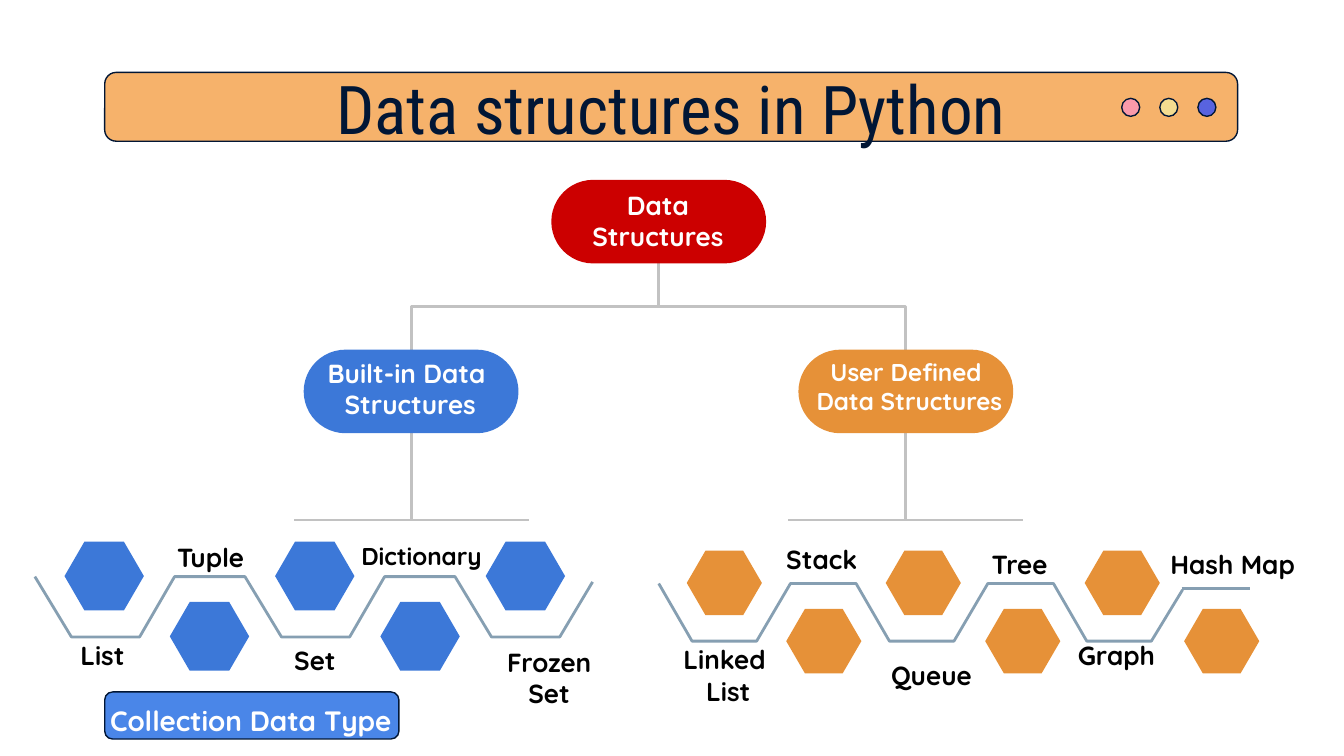
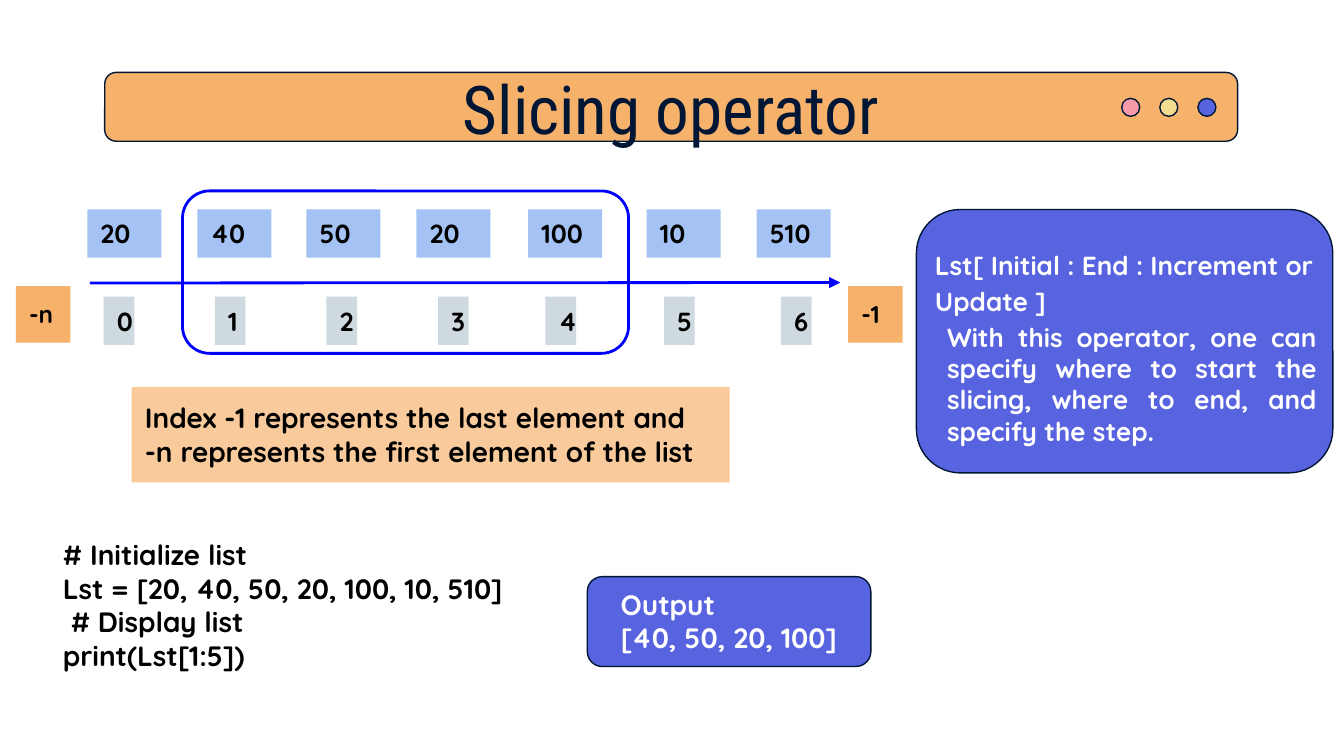
import lxml.etree
import pptx
import pptx.util
import pptx.dml.color
import pptx.enum.shapes
import pptx.enum.text
import pptx.oxml.ns

Cm = pptx.util.Cm
Pt = pptx.util.Pt
RGBColor = pptx.dml.color.RGBColor
SHAPE = pptx.enum.shapes.MSO_SHAPE
CONNECTOR = pptx.enum.shapes.MSO_CONNECTOR
ALIGN = pptx.enum.text.PP_ALIGN
ANCHOR = pptx.enum.text.MSO_ANCHOR
qn = pptx.oxml.ns.qn

NAVY = RGBColor(0x01, 0x16, 0x35)
BLACK = RGBColor(0x00, 0x00, 0x00)
WHITE = RGBColor(0xFF, 0xFF, 0xFF)
SAND = RGBColor(0xF6, 0xB2, 0x6B)
PEACH = RGBColor(0xF9, 0xCB, 0x9C)
PINK = RGBColor(0xF9, 0x9A, 0xAA)
YELLOW = RGBColor(0xF4, 0xDC, 0x90)
VIOLET = RGBColor(0x58, 0x63, 0xE0)
RED = RGBColor(0xCC, 0x00, 0x00)
BLUE = RGBColor(0x3C, 0x78, 0xD8)
BRIGHT_BLUE = RGBColor(0x4A, 0x86, 0xE8)
PURE_BLUE = RGBColor(0x00, 0x00, 0xFF)
PALE_BLUE = RGBColor(0xA4, 0xC2, 0xF4)
ORANGE = RGBColor(0xE6, 0x91, 0x38)
STEEL = RGBColor(0x86, 0x9F, 0xB2)
MIST = RGBColor(0xCF, 0xD9, 0xE0)
GREY = RGBColor(0xC2, 0xC2, 0xC2)

TITLE_FONT = "Roboto Condensed"
BODY_FONT = "Quicksand"
INSET = 0.25


def write(shape, text, size, color=BLACK, align=ALIGN.LEFT, anchor=ANCHOR.TOP,
          inset=INSET, font=BODY_FONT, bold=True):
    """Fill a shape with evenly formatted paragraphs and return its text frame."""
    frame = shape.text_frame
    frame.text = text
    frame.word_wrap = True
    frame.auto_size = pptx.enum.text.MSO_AUTO_SIZE.NONE
    frame.vertical_anchor = anchor
    frame.margin_left = frame.margin_right = Cm(inset)
    frame.margin_top = frame.margin_bottom = Cm(inset)
    for paragraph in frame.paragraphs:
        paragraph.alignment = align
        paragraph.font.name = font
        paragraph.font.size = Pt(size)
        paragraph.font.bold = bold
        paragraph.font.color.rgb = color
    return frame


def add_text(slide, box, text, size=14, color=BLACK, **style):
    """Add a wrapping text box."""
    return write(slide.shapes.add_textbox(*map(Cm, box)), text, size, color, **style)


def add_box(slide, kind, box, fill=None, line=None, width=0.75, adjustment=None):
    """Add a flat preset shape."""
    shape = slide.shapes.add_shape(kind, *map(Cm, box))
    shape.shadow.inherit = False
    if adjustment is not None:
        shape.adjustments[0] = adjustment
    if fill is None:
        shape.fill.background()
    else:
        shape.fill.solid()
        shape.fill.fore_color.rgb = fill
    if line is None:
        shape.line.fill.background()
    else:
        shape.line.color.rgb = line
        shape.line.width = Pt(width)
    return shape


def add_line(slide, start, end, color, kind=CONNECTOR.STRAIGHT):
    """Add a connector without a shadow."""
    connector = slide.shapes.add_connector(kind, *map(Cm, (*start, *end)))
    connector.line.color.rgb = color
    connector.line.width = Pt(1.5)
    lxml.etree.SubElement(connector._element.spPr, qn("a:effectLst"))
    return connector


def add_elbow(slide, start, end, preset):
    """Add an elbow that leaves its start downwards and ends lower on either side."""
    middle_x, middle_y = (start[0] + end[0]) / 2, (start[1] + end[1]) / 2
    half_drop, half_reach = (end[1] - start[1]) / 2, abs(end[0] - start[0]) / 2
    connector = add_line(slide, (middle_x - half_drop, middle_y - half_reach),
                         (middle_x + half_drop, middle_y + half_reach), GREY, CONNECTOR.ELBOW)
    properties = connector._element.spPr
    properties.find(qn("a:prstGeom")).set("prst", preset)
    transform = properties.find(qn("a:xfrm"))
    rightward = end[0] > start[0]
    transform.set("rot", str((270 if rightward else 90) * 60000))
    if rightward:
        transform.set("flipH", "1")


def add_zigzag(slide, left, top, bottom, offsets, period, tail):
    """Draw an open line that dips three times and ends at the tail point."""
    points = []
    for dip in range(3):
        start = left + dip * period
        points += [(start + offset, height)
                   for offset, height in zip((0, *offsets), (top, bottom, bottom, top))]
    points[-1] = tail
    corners = [(Cm(x), Cm(y)) for x, y in points]
    builder = slide.shapes.build_freeform(*corners[0])
    builder.add_line_segments(corners[1:], close=False)
    shape = builder.convert_to_shape()
    shape.shadow.inherit = False
    shape.fill.background()
    shape.line.color.rgb = STEEL
    shape.line.width = Pt(1.5)


def add_hexagons(slide, count, left, pitch, tops, size, color):
    """Place hexagons at an even pitch on two alternating levels."""
    for index in range(count):
        add_box(slide, SHAPE.HEXAGON, (left + index * pitch, tops[index % 2], *size),
                color, adjustment=0.29)


def add_header(slide, title):
    """Add the title band with its three dots and the title."""
    add_box(slide, SHAPE.ROUNDED_RECTANGLE, (1.98, 1.37, 21.41, 1.3), SAND, NAVY)
    for index, color in enumerate((PINK, YELLOW, VIOLET)):
        add_box(slide, SHAPE.OVAL, (21.2 + index * 0.72, 1.86, 0.34, 0.34), color, NAVY)
    placeholder = slide.shapes.title
    placeholder.left, placeholder.top = Cm(3.78), Cm(1.24)
    placeholder.width, placeholder.height = Cm(17.81), Cm(1.6)
    write(placeholder, title, 36, NAVY, ALIGN.CENTER, ANCHOR.MIDDLE, 0, TITLE_FONT, False)
    slide.shapes._spTree.append(placeholder._element)


def add_tree(slide):
    """Draw the root, its two branches and the elbows between them."""
    width, height, root_x, root_y, branch_y, rail_y = 4.06, 1.58, 12.45, 3.4, 6.61, 9.83
    branches = ((7.77, BLUE), (17.12, ORANGE))
    for center, color in branches:
        add_elbow(slide, (root_x, root_y + height), (center, branch_y), "bentConnector3")
        for reach in (-2.22, 2.22):
            add_elbow(slide, (center, branch_y + height), (center + reach, rail_y),
                      "bentConnector2")
    for center, top, color in ((root_x, root_y, RED),
                               *((x, branch_y, color) for x, color in branches)):
        add_box(slide, SHAPE.ROUNDED_RECTANGLE, (center - width / 2, top, width, height),
                color, adjustment=0.5)
    for box, text, size in (
            ((10.62, 3.33, 3.63, 1.7), "Data Structures", 14),
            ((5.94, 6.5, 3.63, 1.7), "Built-in Data \nStructures", 14),
            ((14.48, 6.5, 5.41, 1.63), "User Defined \nData Structures", 13)):
        add_text(slide, box, text, size, WHITE, align=ALIGN.CENTER)


def build_structures(slide):
    """Build the overview of data structures."""
    add_header(slide, "Data structures in Python")
    add_hexagons(slide, 5, 1.22, 1.99, (10.24, 11.38), (1.5, 1.3), BLUE)
    add_zigzag(slide, 0.66, 10.9, 12.04, (0.69, 1.98, 2.64), 3.97, (11.2, 11.0))
    add_hexagons(slide, 6, 12.98, 1.88, (10.41, 11.51), (1.42, 1.22), ORANGE)
    add_zigzag(slide, 12.45, 11.03, 12.12, (0.63, 1.85, 2.49), 3.73, (22.35, 11.15))
    add_line(slide, (22.33, 11.13), (23.62, 11.13), STEEL)
    add_tree(slide)
    for left, top, width, text, size in (
            (1.27, 11.84, 2.01, "List", 14), (3.1, 9.98, 2.01, "Tuple", 14),
            (5.31, 11.94, 2.01, "Set", 14), (6.58, 9.98, 2.92, "Dictionary", 13),
            (14.61, 10.03, 3.25, "Stack", 14), (16.59, 12.22, 3.25, "Queue", 14),
            (18.49, 10.11, 3.25, "Tree", 14), (20.12, 11.84, 3.25, "Graph", 14),
            (21.87, 10.11, 3.25, "Hash Map", 14)):
        add_text(slide, (left, top, width, 1.12), text, size)
    add_text(slide, (8.92, 11.96, 2.92, 1.7), "Frozen Set", align=ALIGN.CENTER)
    add_text(slide, (12.07, 11.91, 3.25, 1.7), "Linked\n List", align=ALIGN.CENTER,
             anchor=ANCHOR.MIDDLE)
    add_box(slide, SHAPE.ROUNDED_RECTANGLE, (1.98, 13.08, 5.56, 0.89), BRIGHT_BLUE, NAVY)
    frame = add_text(slide, (1.83, 12.95, 6.1, 1.14), "Collection Data Type", 15, WHITE)
    paragraph = frame.paragraphs[0]
    paragraph.line_spacing = 1.15
    paragraph.space_before = paragraph.space_after = Pt(14)


def add_list_cells(slide):
    """Draw the list values above the arrow and their indices below it."""
    arrow = add_line(slide, (1.7, 5.35), (15.88, 5.34), PURE_BLUE)
    outline = arrow._element.spPr.find(qn("a:ln"))
    lxml.etree.SubElement(outline, qn("a:tailEnd"), type="triangle")
    values = (20, 40, 50, 20, 100, 10, 510)
    value_lefts = (1.65, 3.73, 5.79, 7.87, 9.98, 12.22, 14.3)
    index_lefts = (1.96, 4.06, 6.17, 8.28, 10.31, 12.55, 14.76)
    for index, value in enumerate(values):
        for text, left, top, width, color in (
                (value, value_lefts[index], 3.96, 1.4, PALE_BLUE),
                (index, index_lefts[index], 5.61, 0.58, MIST)):
            cell = add_box(slide, SHAPE.RECTANGLE, (left, top, width, 0.91), color)
            write(cell, str(text), 14, anchor=ANCHOR.MIDDLE)
    add_box(slide, SHAPE.ROUNDED_RECTANGLE, (3.45, 3.61, 8.43, 3.07), None, PURE_BLUE, 1.5)
    for text, left in (("-n", 0.3), ("-1", 16.03)):
        write(add_box(slide, SHAPE.RECTANGLE, (left, 5.41, 1.03, 1.07), SAND), text, 13)


def build_slicing(slide):
    """Build the explanation of the slicing operator."""
    add_header(slide, "Slicing operator")
    for box in ((11.1, 10.9, 5.36, 1.7), (17.32, 3.96, 7.87, 4.98)):
        add_box(slide, SHAPE.ROUNDED_RECTANGLE, box, VIOLET, NAVY)
    add_text(slide, (11.48, 10.85, 5.08, 1.8), "Output\n[40, 50, 20, 100]", 15, WHITE)
    add_text(slide, (0.94, 9.91, 9.7, 3.07),
             "# Initialize list\nLst = [20, 40, 50, 20, 100, 10, 510]\n"
             " # Display list\nprint(Lst[1:5])", 15)
    write(add_box(slide, SHAPE.RECTANGLE, (2.49, 7.32, 11.3, 1.8), PEACH),
          "Index -1 represents the last element and "
          "-n represents the first element of the list", 15)
    add_list_cells(slide)
    add_text(slide, (17.65, 5.82, 7.49, 2.9),
             "With this operator, one can specify where to start the slicing, "
             "where to end, and specify the step.", 14, WHITE, align=ALIGN.JUSTIFY)
    frame = add_text(slide, (17.42, 4.37, 9.83, 1.8),
                     "Lst[ Initial : End : Increment or Update ]", 14, WHITE)
    frame.paragraphs[0].line_spacing = 1.15
    frame.paragraphs[0].space_after = Pt(8)


def main():
    """Build and save the presentation."""
    presentation = pptx.Presentation()
    presentation.slide_width, presentation.slide_height = Cm(25.4), Cm(14.29)
    for build in (build_structures, build_slicing):
        build(presentation.slides.add_slide(presentation.slide_layouts[5]))
    presentation.save("out.pptx")


main()
